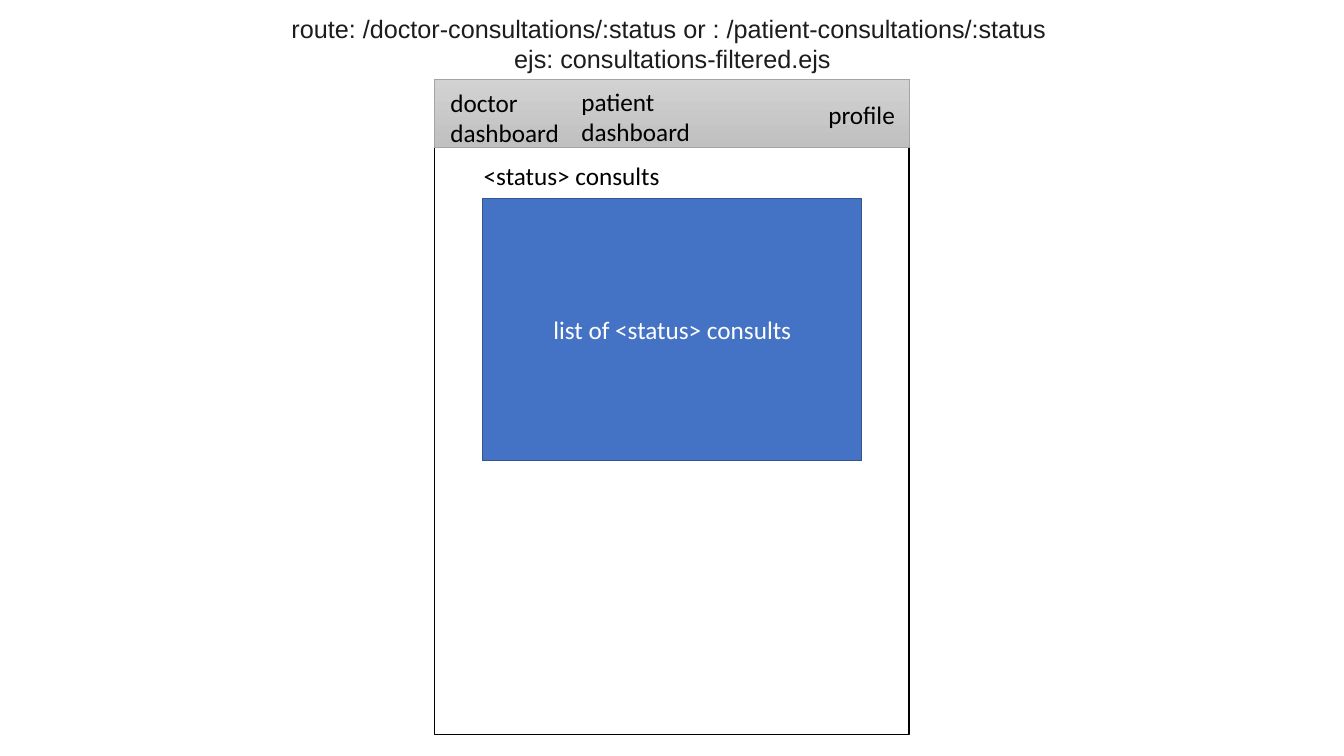
"""Builds a wireframe slide of the filtered consultations page."""
import pptx
import pptx.dml.color
import pptx.enum.shapes
import pptx.enum.text
import pptx.util

Pt = pptx.util.Pt
ALIGN = pptx.enum.text.PP_ALIGN

SLIDE_SIZE = (960, 540)
PAGE = (310.3, 56.9, 339.1, 468)
NAVBAR = PAGE[:3] + (48.2,)
CONSULT_LIST = (344.9, 141.8, 270.7, 187.2)
LIST_TEXT = "list of <status> consults"
NAVBAR_COLORS = ("D2D2D2", "C0C0C0")

HEADING = ("<status> consults", (338.4, 110.9, 277.9, 29.1))
ROUTE = (
    "route: /doctor-consultations/:status or : /patient-consultations/:status \v"
    "ejs: consultations-filtered.ejs",
    (164.2, 5.8, 632.2, 50.9),
)
NAVBAR_LABELS = [
    ("profile", (584.6, 67.7, 64.8, 29.1)),
    ("doctor\vdashboard", (314.6, 58.5, 98.6, 50.9)),
    ("patient\vdashboard", (408.2, 57.8, 98.6, 50.9)),
]


def rgb(color):
    return pptx.dml.color.RGBColor.from_string(color)


def write(text_frame, text, color, font="Calibri", align=ALIGN.LEFT):
    text_frame.word_wrap = True
    paragraph = text_frame.paragraphs[0]
    paragraph.text = text
    paragraph.alignment = align
    for run in paragraph.runs:
        run.font.name = font
        run.font.size = Pt(18)
        run.font.color.rgb = rgb(color)


def add_label(shapes, text, box, color="000000", **style):
    text_frame = shapes.add_textbox(*map(Pt, box)).text_frame
    write(text_frame, text, color, **style)
    text_frame.auto_size = pptx.enum.text.MSO_AUTO_SIZE.SHAPE_TO_FIT_TEXT


def add_box(shapes, box, line_color, line_width):
    shape = shapes.add_shape(pptx.enum.shapes.MSO_SHAPE.RECTANGLE, *map(Pt, box))
    shape.shadow.inherit = False
    shape.fill.background()
    shape.line.color.rgb = rgb(line_color)
    shape.line.width = Pt(line_width)
    return shape


def main():
    presentation = pptx.Presentation()
    presentation.slide_width, presentation.slide_height = map(Pt, SLIDE_SIZE)
    slide = presentation.slides.add_slide(presentation.slide_layouts[6])

    add_box(slide.shapes, PAGE, "000000", 1)
    add_label(slide.shapes, *HEADING)

    consult_list = add_box(slide.shapes, CONSULT_LIST, "325491", 1)
    consult_list.fill.solid()
    consult_list.fill.fore_color.rgb = rgb("4472C4")
    consult_list.text_frame.vertical_anchor = pptx.enum.text.MSO_ANCHOR.MIDDLE
    write(consult_list.text_frame, LIST_TEXT, "FFFFFF", align=ALIGN.CENTER)

    add_label(slide.shapes, *ROUTE, color="1D1C1D", font="Arial", align=ALIGN.CENTER)

    navbar = slide.shapes.add_group_shape()
    bar = add_box(navbar.shapes, NAVBAR, "A5A5A5", 0.5)
    bar.fill.gradient()
    bar.fill.gradient_angle = 270
    for stop, color in zip(bar.fill.gradient_stops, NAVBAR_COLORS):
        stop.color.rgb = rgb(color)
    for text, box in NAVBAR_LABELS:
        add_label(navbar.shapes, text, box)

    presentation.save("out.pptx")


if __name__ == "__main__":
    main()
